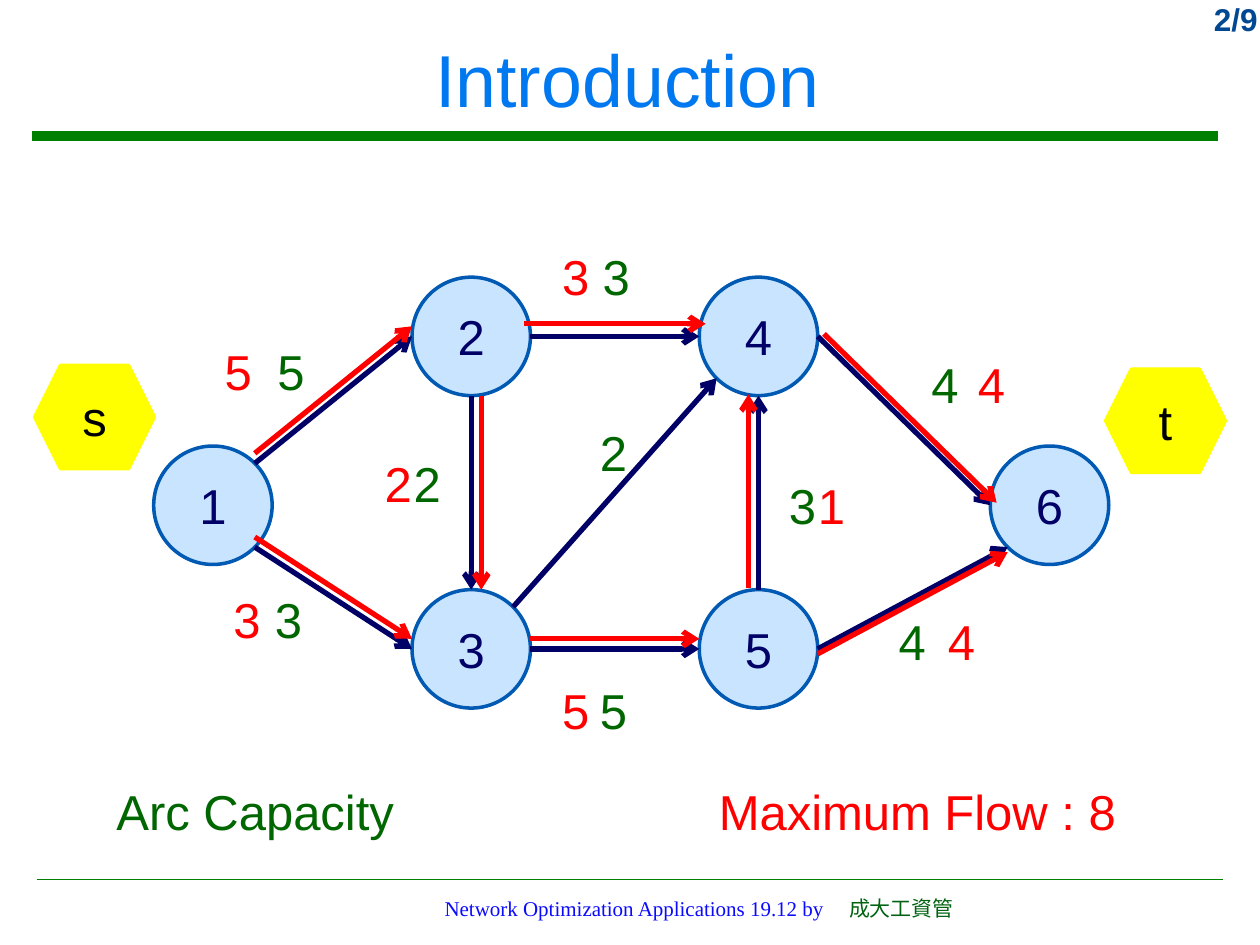
import math
from dataclasses import dataclass

import pptx
import pptx.dml.color
import pptx.enum.shapes
import pptx.enum.text
import pptx.oxml
import pptx.oxml.ns
import pptx.util
from pptx.util import Inches

COLORS = {
    "title": "0078F0", "page": "004992", "rule": "008000",
    "footer": "0A0AFF", "school": "016311",
    "node": "C9E4FF", "node_line": "0059B2", "arc": "000066",
    "capacity": "006600", "flow": "FF0000",
    "terminal": "FFFF00", "terminal_text": "000000",
}
LABEL = {"name": "Arial", "size": pptx.util.Pt(28)}
TITLE = {"name": "Arial", "size": pptx.util.Pt(42), "bold": False}
PAGE = {"name": "Arial", "size": pptx.util.Pt(18), "bold": True}
FOOTER = {"name": "Times New Roman", "size": pptx.util.Pt(12)}
CENTERED = {"word_wrap": True, "vertical_anchor": pptx.enum.text.MSO_ANCHOR.MIDDLE}
ALIGN = pptx.enum.text.PP_ALIGN
SHAPES = pptx.enum.shapes.MSO_SHAPE

NODE_SIZE = 0.94
NODES = {
    "1": (1.44, 2.16), "2": (3.49, 0.82), "3": (3.49, 3.3),
    "4": (5.77, 0.82), "5": (5.77, 3.3), "6": (8.08, 2.16),
}
TERMINALS = {"s": (0.5, 1.46), "t": (9.0, 1.49)}
TOP, LEFT, BOTTOM_LEFT, BOTTOM, BOTTOM_RIGHT, RIGHT, TOP_RIGHT = 0, 2, 3, 4, 5, 6, 7


@dataclass
class Box:
    left: float
    top: float
    width: float
    height: float

    def around(self, center, width, height):
        return Box(self.left + center[0] - width / 2,
                   self.top + center[1] - height / 2, width, height)

    def lengths(self):
        return [Inches(v) for v in (self.left, self.top, self.width, self.height)]


@dataclass
class Arc:
    tail: str
    tail_site: int
    head: str
    head_site: int
    capacity: str
    capacity_at: tuple
    flow: str = ""
    flow_x: float = 0
    offset: tuple = (0, 0)
    overlap: float = 0


ARCS = [
    Arc("1", TOP_RIGHT, "2", LEFT, "5", (2.06, 1.09), "5", 1.64, (0, -0.08)),
    Arc("2", RIGHT, "4", LEFT, "3", (4.64, 0.34), "3", 4.32, (0, -0.1), 0.05),
    Arc("3", RIGHT, "5", LEFT, "5", (4.62, 3.78), "5", 4.32, (0, -0.08)),
    Arc("4", RIGHT, "6", LEFT, "4", (7.25, 1.2), "4", 7.62, (0.05, -0.02)),
    Arc("1", BOTTOM_RIGHT, "3", LEFT, "3", (2.04, 3.06), "3", 1.71, (0, -0.08)),
    Arc("3", TOP_RIGHT, "4", BOTTOM_LEFT, "2", (4.62, 1.74)),
    Arc("5", TOP, "4", BOTTOM, "3", (6.12, 2.16), "1", 6.35, (-0.08, -0.01)),
    Arc("5", RIGHT, "6", BOTTOM_LEFT, "4", (6.99, 3.24), "4", 7.38, (0, 0.04)),
    Arc("2", BOTTOM, "3", TOP, "2", (3.14, 1.98), "2", 2.91, (0.08, 0)),
]


def rgb(color):
    return pptx.dml.color.RGBColor.from_string(COLORS[color])


def apply_format(target, values):
    for name, value in values.items():
        setattr(target, name, value)


def add_run(paragraph, text, font, color):
    run = paragraph.add_run()
    run.text = text
    apply_format(run.font, font)
    run.font.color.rgb = rgb(color)


def write(shape, text, font, color, align=ALIGN.CENTER):
    apply_format(shape.text_frame, CENTERED)
    paragraph = shape.text_frame.paragraphs[0]
    paragraph.alignment = align
    add_run(paragraph, text, font, color)


def add_label(slide, box, text, color, font=LABEL, align=ALIGN.CENTER):
    write(slide.shapes.add_textbox(*box.lengths()), text, font, color, align)


def add_solid(slide, kind, box, text, fill, line, text_color):
    shape = slide.shapes.add_shape(kind, *box.lengths())
    shape.shadow.inherit = False
    shape.fill.solid()
    shape.fill.fore_color.rgb = rgb(fill)
    shape.line.color.rgb = rgb(line)
    shape.line.width = pptx.util.Pt(2)
    write(shape, text, LABEL, text_color)
    return shape


def add_line(slide, start, end, color, width):
    line = slide.shapes.add_connector(
        pptx.enum.shapes.MSO_CONNECTOR.STRAIGHT,
        *[Inches(value) for value in (*start, *end)])
    line.line.color.rgb = rgb(color)
    line.line.width = pptx.util.Pt(width)
    pptx.oxml.ns.qn("a:effectLst")
    properties = line._element.spPr
    properties.append(properties.makeelement(pptx.oxml.ns.qn("a:effectLst"), {}))
    return line


def add_arrow(slide, start, end, color):
    arrow = add_line(slide, start, end, color, 3)
    outline = arrow.line._get_or_add_ln()
    outline.append(outline.makeelement(pptx.oxml.ns.qn("a:tailEnd"), {"type": "arrow"}))
    return arrow


def join(arrow, tail, tail_site, head, head_site):
    links = arrow._element.nvCxnSpPr.cNvCxnSpPr
    for tag, node, site in (("a:stCxn", tail, tail_site), ("a:endCxn", head, head_site)):
        links.append(links.makeelement(
            pptx.oxml.ns.qn(tag), {"id": str(node.shape_id), "idx": str(site)}))


def site_point(box, node, site):
    angle = math.radians(90 + 45 * site)
    x, y = NODES[node]
    radius = NODE_SIZE / 2
    return (box.left + x + radius * math.cos(angle),
            box.top + y - radius * math.sin(angle))


def add_header(slide, box):
    title = slide.shapes.title
    placement = Box(box.left + 0.08, box.top + 0.09, box.width - 0.2, 1.06)
    apply_format(title, dict(zip(("left", "top", "width", "height"), placement.lengths())))
    write(title, "Introduction", TITLE, "title")
    rule_y = box.top + box.height
    add_line(slide, (box.left + 0.25, rule_y), (box.left + 9.67, rule_y), "rule", 5.25)
    page_box = Box(box.left + 9.17, box.top - 0.05, 0.91, 0.4)
    add_label(slide, page_box, "2/9", "page", PAGE, ALIGN.RIGHT)


def add_network(slide, box):
    nodes = {
        name: add_solid(slide, SHAPES.OVAL, box.around(center, NODE_SIZE, NODE_SIZE),
                        name, "node", "node_line", "arc")
        for name, center in NODES.items()
    }
    ends = [(site_point(box, arc.tail, arc.tail_site),
             site_point(box, arc.head, arc.head_site)) for arc in ARCS]
    for arc, (start, end) in zip(ARCS, ends):
        arrow = add_arrow(slide, start, end, "arc")
        join(arrow, nodes[arc.tail], arc.tail_site, nodes[arc.head], arc.head_site)
        add_label(slide, box.around(arc.capacity_at, 0.71, 0.65), arc.capacity, "capacity")
    for arc, (start, end) in zip(ARCS, ends):
        if arc.flow:
            dx, dy = arc.offset
            add_arrow(slide, (start[0] + dx - arc.overlap, start[1] + dy),
                      (end[0] + dx + arc.overlap, end[1] + dy), "flow")
            center = (arc.flow_x, arc.capacity_at[1])
            add_label(slide, box.around(center, 0.71, 0.65), arc.flow, "flow")
    for name, center in TERMINALS.items():
        add_solid(slide, SHAPES.HEXAGON, box.around(center, 0.95, 0.82),
                  name, "terminal", "terminal", "terminal_text")


def add_legend(slide, box):
    add_label(slide, Box(box.left, box.top, 3.07, box.height), "Arc Capacity", "capacity")
    add_label(slide, Box(box.left + box.width - 4.42, box.top, 4.42, box.height),
              "Maximum Flow : 8", "flow")


def add_footer(slide, box):
    add_line(slide, (box.left, box.top), (box.left + box.width, box.top), "rule", 1)
    text_box = Box(box.left + 3.14, box.top + 0.08, 6.28, 0.4)
    frame = slide.shapes.add_textbox(*text_box.lengths()).text_frame
    frame.word_wrap = True
    paragraph = frame.paragraphs[0]
    properties = paragraph._p.get_or_add_pPr()
    properties.append(pptx.oxml.parse_xml(
        f'<a:tabLst {pptx.oxml.ns.nsdecls("a")}>'
        f'<a:tab pos="{Inches(3.21)}" algn="l"/></a:tabLst>'))
    add_run(paragraph, "Network Optimization Applications 19.12 by\t", FOOTER, "footer")
    add_run(paragraph, "成大工資管", FOOTER, "school")


def main():
    presentation = pptx.Presentation()
    presentation.slide_width = Inches(10)
    presentation.slide_height = Inches(7.5)
    slide = presentation.slides.add_slide(presentation.slide_layouts[5])
    add_header(slide, Box(0, 0, 10, 1.08))
    add_network(slide, Box(0.25, 1.85, 9.5, 4.2))
    add_legend(slide, Box(0.49, 6.11, 9, 0.65))
    add_footer(slide, Box(0.29, 6.98, 9.42, 0.52))
    presentation.save("out.pptx")


if __name__ == "__main__":
    main()
